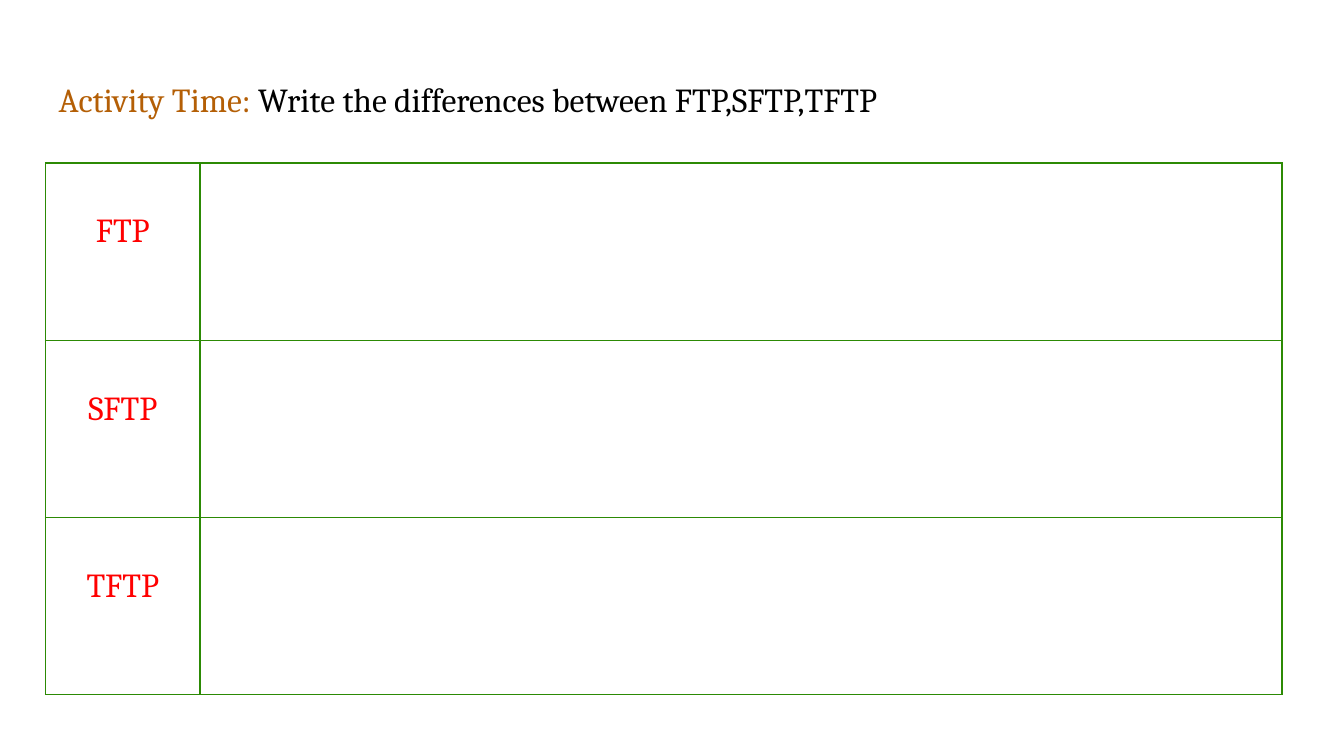
from lxml.etree import SubElement
from pptx import Presentation
from pptx.dml.color import RGBColor
from pptx.enum.text import MSO_ANCHOR, MSO_AUTO_SIZE, PP_ALIGN
from pptx.oxml.ns import qn
from pptx.util import Cm, Pt

BROWN = RGBColor(0xB4, 0x5F, 0x06)
BLACK = RGBColor(0, 0, 0)
RED = RGBColor(0xFF, 0, 0)
GREEN = RGBColor(0x2C, 0x8A, 0x04)
FONT, SIZE = "Cambria", Pt(18)

# Content
TITLE = [("Activity Time: ", BROWN),
         ("Write the differences between FTP,SFTP,TFTP", BLACK)]
PROTOCOLS = ["FTP", "SFTP", "TFTP"]

# Layout
MARGIN = Cm(0.25)
LEFT = Cm(0.86)
COLUMN_WIDTHS = [Cm(2.92), Cm(20.45)]
ROW_HEIGHT = Cm(3.35)
LABEL_TOP = Cm(0.94)


def set_font(font):
    font.name, font.size, font.bold = FONT, SIZE, False


def add_borders(cell):
    properties = cell._tc.get_or_add_tcPr()
    for position, side in enumerate(("lnL", "lnR", "lnT", "lnB")):
        line = SubElement(properties, qn(f"a:{side}"), w=str(Pt(0.75)))
        fill = SubElement(line, qn("a:solidFill"))
        SubElement(fill, qn("a:srgbClr"), val=str(GREEN))
        properties.insert(position, line)


deck = Presentation()
deck.slide_width, deck.slide_height = Cm(25.4), Cm(14.29)
page = deck.slides.add_slide(deck.slide_layouts[5])

# Title
title = page.shapes.title
title.left, title.top, title.width, title.height = LEFT, Cm(1.24), Cm(23.67), Cm(1.6)
frame = title.text_frame
frame.word_wrap = True
frame.auto_size = MSO_AUTO_SIZE.NONE
frame.vertical_anchor = MSO_ANCHOR.TOP
frame.margin_left = frame.margin_right = frame.margin_top = frame.margin_bottom = MARGIN
para = frame.paragraphs[0]
para.alignment = PP_ALIGN.LEFT
set_font(para.font)
for text, color in TITLE:
    span = para.add_run()
    span.text = text
    set_font(span.font)
    span.font.color.rgb = color

# Answer table
table = page.shapes.add_table(
    len(PROTOCOLS), len(COLUMN_WIDTHS), LEFT, Cm(3.08),
    sum(COLUMN_WIDTHS), ROW_HEIGHT * len(PROTOCOLS)).table
table.first_row = table.horz_banding = False
for column, width in zip(table.columns, COLUMN_WIDTHS):
    column.width = width
for row, protocol in zip(table.rows, PROTOCOLS):
    row.height = ROW_HEIGHT
    for cell in row.cells:
        cell.fill.background()
        cell.margin_left = cell.margin_right = cell.margin_bottom = MARGIN
        cell.margin_top = MARGIN
        add_borders(cell)
    label = row.cells[0]
    label.margin_top = LABEL_TOP
    label.text = protocol
    para = label.text_frame.paragraphs[0]
    para.alignment = PP_ALIGN.CENTER
    set_font(para.font)
    para.font.color.rgb = RED

deck.save("out.pptx")
